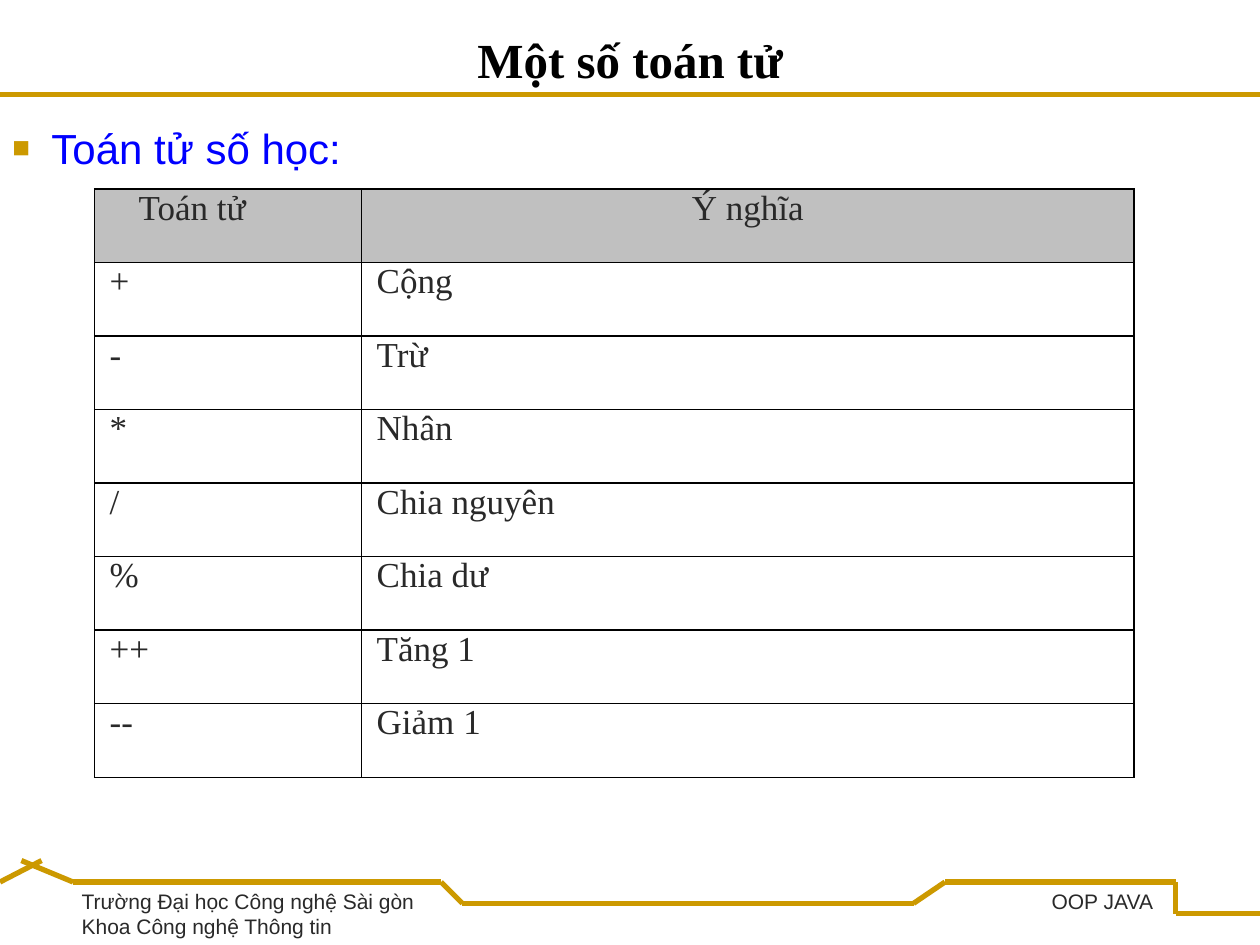
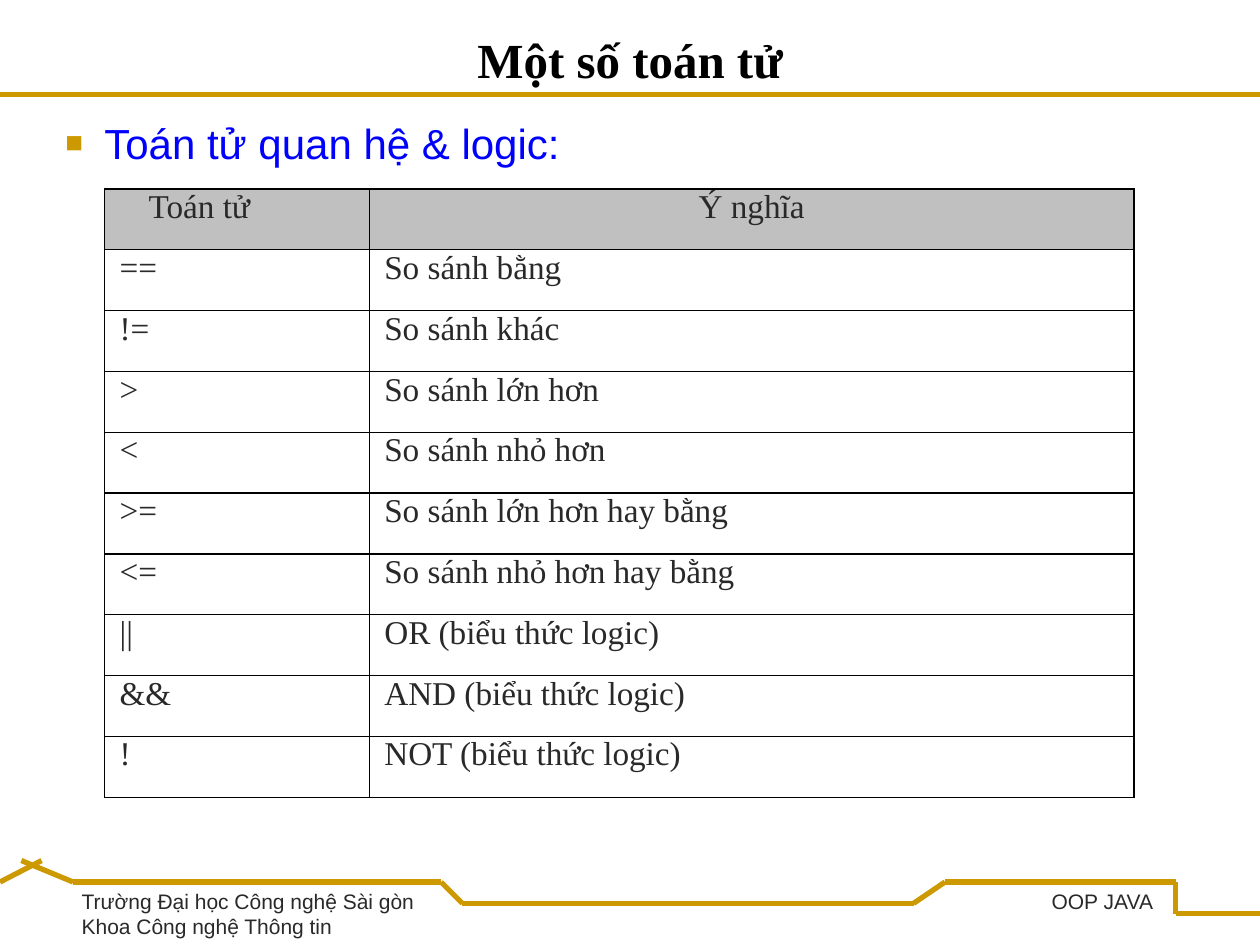
from lxml import etree
from pptx import Presentation
from pptx.dml.color import RGBColor
from pptx.enum.shapes import MSO_CONNECTOR
from pptx.enum.text import MSO_ANCHOR, PP_ALIGN
from pptx.oxml import parse_xml
from pptx.oxml.ns import nsdecls, qn
from pptx.util import Inches, Pt

COLORS = {
    "gold": "CC9900",
    "title": "000000",
    "heading": "0000FF",
    "text": "292929",
    "header_fill": "C0C0C0",
    "border": "000000",
}
SERIF, SANS = "Times New Roman", "Arial"
TITLE = "Một số toán tử"
SCHOOL = "Trường Đại học Công nghệ Sài gòn\nKhoa Công nghệ Thông tin"
COURSE = "OOP JAVA"
HEADER = ("Toán tử", "Ý nghĩa")
BORDER_WIDTH = Pt(0.82)

RULES = [
    [(0, 0.75), (10, 0.75)],
    [(0, 7), (0.33, 6.83)],
    [(0.17, 6.83), (0.58, 7), (3.5, 7), (3.67, 7.17), (7.25, 7.17),
     (7.5, 7), (9.33, 7), (9.33, 7.25), (10, 7.25)],
]

SLIDES = [
    {
        "heading": "Toán tử số học:",
        "heading_at": (0, 0.92),
        "table_at": (0.75, 1.5, 8.25, 4.67),
        "operator_width": 2.12,
        "size": 20,
        "rows": [
            ("+", "Cộng"),
            ("-", "Trừ"),
            ("*", "Nhân"),
            ("/", "Chia nguyên"),
            ("%", "Chia dư"),
            ("++", "Tăng 1"),
            ("--", "Giảm 1"),
        ],
    },
    {
        "heading": "Toán tử quan hệ & logic:",
        "heading_at": (0.42, 0.88),
        "table_at": (0.83, 1.5, 8.17, 4.83),
        "operator_width": 2.1,
        "size": 19,
        "rows": [
            ("==", "So sánh bằng"),
            ("!=", "So sánh khác"),
            (">", "So sánh lớn hơn"),
            ("<", "So sánh nhỏ hơn"),
            (">=", "So sánh lớn hơn hay bằng"),
            ("<=", "So sánh nhỏ hơn hay bằng"),
            ("||", "OR (biểu thức logic)"),
            ("&&", "AND (biểu thức logic)"),
            ("!", "NOT (biểu thức logic)"),
        ],
    },
]


def write_text(frame, text, font=SANS, size=12, color="text", bold=False,
               align=PP_ALIGN.LEFT, anchor=MSO_ANCHOR.TOP, wrap=True,
               indent=0, bullet=False):
    frame.word_wrap = wrap
    frame.vertical_anchor = anchor
    for index, line in enumerate(text.split("\n")):
        paragraph = frame.paragraphs[0] if index == 0 else frame.add_paragraph()
        paragraph.alignment = align
        properties = paragraph._p.get_or_add_pPr()
        properties.set("marL", str(Inches(indent)))
        properties.set("indent", str(-Inches(indent) if bullet else 0))
        if bullet:
            for element in (
                f'<a:buClr {nsdecls("a")}><a:srgbClr val="{COLORS["gold"]}"/></a:buClr>',
                f'<a:buSzPct {nsdecls("a")} val="70000"/>',
                f'<a:buFont {nsdecls("a")} typeface="{SANS}"/>',
                f'<a:buChar {nsdecls("a")} char="■"/>',
            ):
                properties.append(parse_xml(element))
        run = paragraph.add_run()
        run.text = line
        run.font.name = font
        run.font.size = Pt(size)
        run.font.bold = bold
        run.font.color.rgb = RGBColor.from_string(COLORS[color])


def add_text(slide, box, text, **text_format):
    shape = slide.shapes.add_textbox(*map(Inches, box))
    write_text(shape.text_frame, text, **text_format)


presentation = Presentation()
presentation.slide_width = Inches(10)
presentation.slide_height = Inches(7.5)

for content in SLIDES:
    slide = presentation.slides.add_slide(presentation.slide_layouts[6])

    for points in RULES:
        for start, end in zip(points, points[1:]):
            rule = slide.shapes.add_connector(
                MSO_CONNECTOR.STRAIGHT, *map(Inches, start + end))
            rule.line.color.rgb = RGBColor.from_string(COLORS["gold"])
            rule.line.width = Pt(3)
            etree.SubElement(rule._element.spPr, qn("a:effectLst"))

    add_text(slide, (0.55, 7, 2.84, 0.5), SCHOOL, wrap=False)
    add_text(slide, (0, 0.04, 10, 0.71), TITLE, font=SERIF, size=28, color="title",
             bold=True, align=PP_ALIGN.CENTER, anchor=MSO_ANCHOR.BOTTOM)
    add_text(slide, (*content["heading_at"], 10, 6), content["heading"],
             size=24, color="heading", indent=0.31, bullet=True)
    add_text(slide, (3.5, 7, 5.75, 0.42), COURSE, align=PP_ALIGN.RIGHT)

    rows = [HEADER] + content["rows"]
    left, top, width, height = content["table_at"]
    table = slide.shapes.add_table(
        len(rows), 2, *map(Inches, (left, top, width, height))).table
    table.first_row = False
    table.horz_banding = False
    table.columns[0].width = Inches(content["operator_width"])
    table.columns[1].width = Inches(width - content["operator_width"])

    for row_index, row in enumerate(rows):
        table.rows[row_index].height = Inches(height / len(rows))
        is_header = row_index == 0
        for column_index, text in enumerate(row):
            cell = table.cell(row_index, column_index)
            cell.margin_left = cell.margin_right = 0
            cell.margin_top = cell.margin_bottom = 0
            centered = is_header and column_index == 1
            write_text(cell.text_frame, text, font=SERIF, size=content["size"],
                       align=PP_ALIGN.CENTER if centered else PP_ALIGN.LEFT,
                       indent=0 if centered else 0.35 if is_header else 0.12)
            cell_properties = cell._tc.get_or_add_tcPr()
            for side in ("lnL", "lnR", "lnT", "lnB"):
                cell_properties.append(parse_xml(
                    f'<a:{side} {nsdecls("a")} w="{BORDER_WIDTH}"><a:solidFill>'
                    f'<a:srgbClr val="{COLORS["border"]}"/></a:solidFill></a:{side}>'))
            if is_header:
                cell.fill.solid()
                cell.fill.fore_color.rgb = RGBColor.from_string(COLORS["header_fill"])
            else:
                cell.fill.background()

presentation.save("out.pptx")
